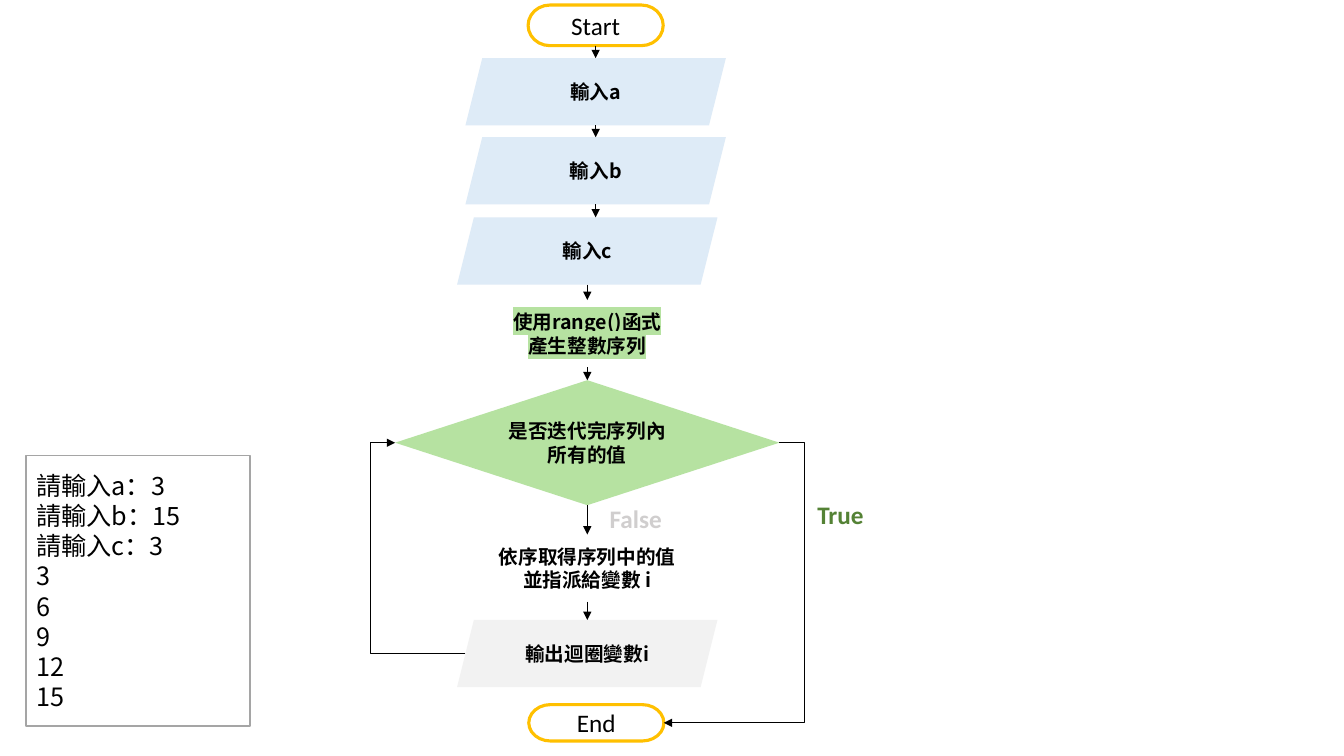
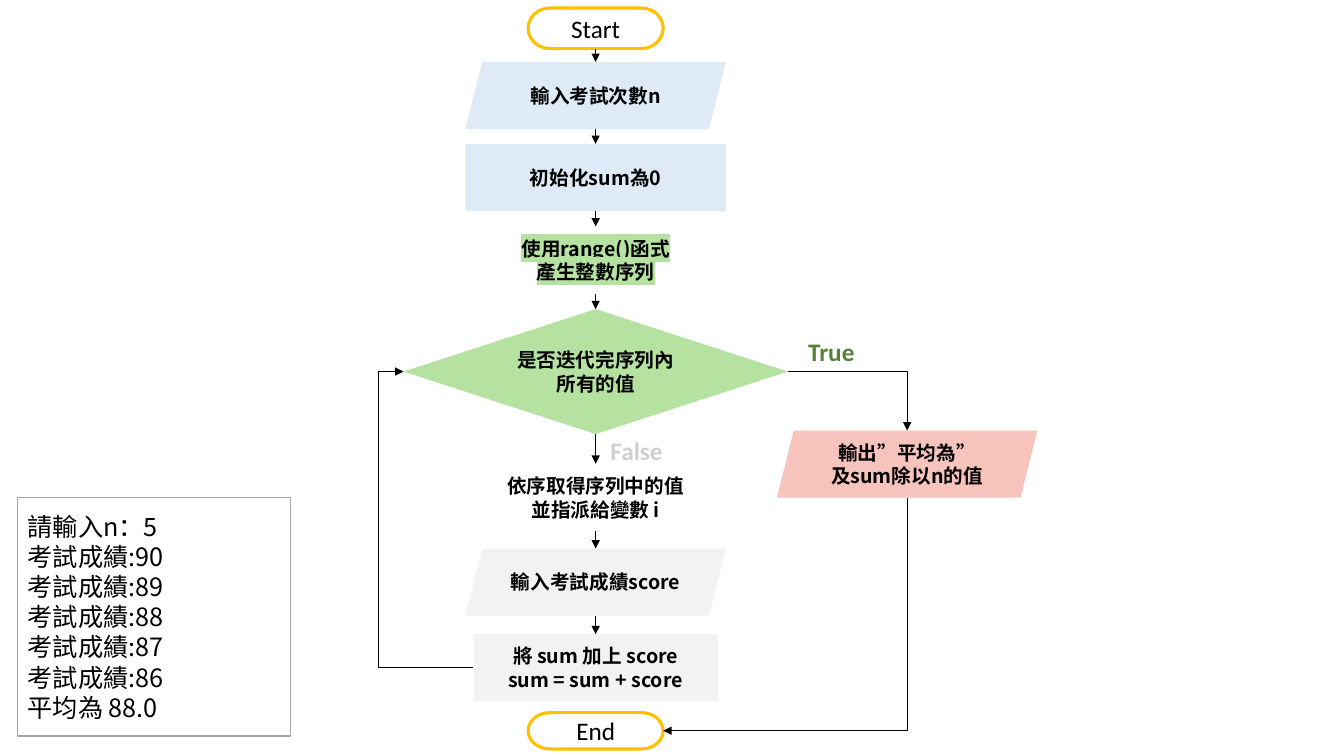
from dataclasses import dataclass
from itertools import pairwise
from typing import NamedTuple

from lxml.etree import SubElement
from pptx import Presentation
from pptx.dml.color import RGBColor
from pptx.enum.shapes import MSO_CONNECTOR as Wire, MSO_SHAPE as Preset
from pptx.enum.text import MSO_ANCHOR as Anchor, MSO_AUTO_SIZE as AutoSize, PP_ALIGN as Align
from pptx.oxml.ns import qn
from pptx.util import Pt


@dataclass(frozen=True)
class Theme:
    cjk: str = "Noto Sans CJK SC"
    latin: str = "Calibri"
    step_size: float = 14
    large_size: float = 18
    leading: float = 1.2
    black: str = "000000"
    white: str = "FFFFFF"
    frame: str = "A5A5A5"
    gold: str = "FFC000"
    blue: str = "DEEBF7"
    green: str = "B6E2A1"
    gray: str = "F2F2F2"
    pink: str = "F6C4BC"
    true: str = "548235"
    false: str = "D0CECE"


THEME = Theme()


class Span(NamedTuple):
    text: str
    font: str | None = None


class Style(NamedTuple):
    size: float
    font: str
    color: str = THEME.black
    bold: bool = False
    align: Align = Align.CENTER
    highlight: str | None = None


STEP = Style(THEME.step_size, THEME.cjk, bold=True)
MARKED = STEP._replace(highlight=THEME.green)
TERMINAL = Style(THEME.large_size, THEME.latin)
CONSOLE = Style(THEME.large_size, THEME.cjk, align=Align.LEFT)


@dataclass(frozen=True)
class Node:
    """One flowchart box, placed by its vertical axis; no preset means a text box."""
    lines: tuple[str | tuple[Span, ...], ...]
    axis: float
    top: float
    width: float = 186
    height: float = 48
    preset: Preset | None = None
    fill: str = THEME.white
    outline: str | None = None
    outline_width: float = 1
    style: Style = STEP

    @property
    def bottom(self) -> float:
        return self.top + self.height

    @property
    def middle(self) -> float:
        return self.top + self.height / 2

    @property
    def left(self) -> float:
        """Where a wire meets the left side; a slanted side is met halfway."""
        slant = self.height / 8 if self.preset == Preset.PARALLELOGRAM else 0
        return self.axis - self.width / 2 + slant

    @property
    def right(self) -> float:
        return self.axis + self.width / 2


class Label(NamedTuple):
    text: str
    left: float
    top: float
    width: float
    color: str


def true_label(left: float, top: float) -> Label:
    return Label("True", left, top, 47.5, THEME.true)


def false_label(left: float, top: float) -> Label:
    return Label("False", left, top, 52, THEME.false)


def terminal(text: str, axis: float, top: float, height: float) -> Node:
    return Node((text,), axis, top, 96.5, height, Preset.FLOWCHART_TERMINATOR,
                outline=THEME.gold, outline_width=2.25, style=TERMINAL)


def data_step(text: str, axis: float, top: float, fill: str = THEME.blue) -> Node:
    return Node((text,), axis, top, preset=Preset.PARALLELOGRAM, fill=fill)


def range_step(axis: float, top: float) -> Node:
    return Node(("使用range()函式", "產生整數序列"), axis, top, 173.5, style=MARKED)


def decision(axis: float, top: float) -> Node:
    return Node(("是否迭代完序列內所有的值",), axis, top, 274.5, 89.3, Preset.DIAMOND, THEME.green)


def take_step(axis: float, top: float) -> Node:
    return Node(("依序取得序列中的值", "並指派給變數 i"), axis, top)


def console(lines: tuple[str, ...], left: float, top: float, width: float, height: float) -> Node:
    return Node(lines, left + width / 2, top, width, height, Preset.RECTANGLE,
                outline=THEME.frame, style=CONSOLE)


def write_lines(frame, lines, style: Style) -> None:
    for index, line in enumerate(lines):
        para = frame.paragraphs[0] if index == 0 else frame.add_paragraph()
        para.alignment = style.align
        font = para.font
        font.name, font.size, font.bold = style.font, Pt(style.size), style.bold
        font.color.rgb = RGBColor.from_string(style.color)
        if style.font == THEME.cjk:
            para.line_spacing = Pt(style.size * THEME.leading)
            defaults = para._p.pPr.find(qn("a:defRPr"))
            SubElement(defaults, qn("a:ea"), typeface=THEME.cjk)
        for span in (Span(line),) if isinstance(line, str) else line:
            run = para.add_run()
            run.text = span.text
            if span.font:
                run.font.name = span.font
            if style.highlight:
                mark = SubElement(run._r.get_or_add_rPr(), qn("a:highlight"))
                SubElement(mark, qn("a:srgbClr"), val=style.highlight)


def draw_node(page, node: Node):
    place = [Pt(value) for value in
             (node.axis - node.width / 2, node.top, node.width, node.height)]
    if node.preset is None:
        box = page.shapes.add_textbox(*place)
    else:
        box = page.shapes.add_shape(node.preset, *place)
        box.shadow.inherit = False
        box.fill.solid()
        box.fill.fore_color.rgb = RGBColor.from_string(node.fill)
        if node.outline:
            box.line.color.rgb = RGBColor.from_string(node.outline)
            box.line.width = Pt(node.outline_width)
        else:
            box.line.fill.background()
    frame = box.text_frame
    frame.word_wrap = True
    frame.vertical_anchor = Anchor.MIDDLE
    write_lines(frame, node.lines, node.style)
    return box


def draw_label(page, label: Label) -> None:
    box = page.shapes.add_textbox(Pt(label.left), Pt(label.top), Pt(label.width), Pt(29))
    box.text_frame.word_wrap = False
    box.text_frame.auto_size = AutoSize.SHAPE_TO_FIT_TEXT
    style = Style(THEME.large_size, THEME.latin, label.color, True, Align.LEFT)
    write_lines(box.text_frame, (label.text,), style)


def draw_wire(page, kind: Wire, start: tuple[float, float], end: tuple[float, float],
              arrow: str = "tailEnd"):
    wire = page.shapes.add_connector(kind, *(Pt(value) for value in (*start, *end)))
    wire.line.color.rgb = RGBColor.from_string(THEME.black)
    wire.line.width = Pt(0.5)
    properties = wire._element.spPr
    SubElement(properties.find(qn("a:ln")), qn(f"a:{arrow}"), type="triangle")
    SubElement(properties, qn("a:effectLst"))
    return wire


def draw_lane(page, start: tuple[float, float], end: tuple[float, float], lane: float) -> None:
    """Elbow whose vertical stretch runs at x = lane."""
    wire = draw_wire(page, Wire.ELBOW, start, end)
    geometry = wire._element.spPr.find(qn("a:prstGeom"))
    share = round((lane - start[0]) / (end[0] - start[0]) * 100000)
    SubElement(geometry.find(qn("a:avLst")), qn("a:gd"), name="adj1", fmla=f"val {share}")


def draw_corner(page, start: tuple[float, float], end: tuple[float, float], arrow: str) -> None:
    """Elbow with a single bend, horizontal first."""
    wire = draw_wire(page, Wire.ELBOW, start, end, arrow)
    wire._element.spPr.find(qn("a:prstGeom")).set("prst", "bentConnector2")


def draw_flow(page, nodes: list[Node]) -> None:
    """Boxes in order, each joined to the next by a vertical arrow."""
    boxes = [draw_node(page, node) for node in nodes]
    for (upper, upper_box), (lower, lower_box) in pairwise(zip(nodes, boxes)):
        wire = draw_wire(page, Wire.STRAIGHT, (upper.axis, upper.bottom), (upper.axis, lower.top))
        if upper.preset != Preset.PARALLELOGRAM:
            wire.begin_connect(upper_box, 2)
        if lower.preset != Preset.PARALLELOGRAM and lower.axis == upper.axis:
            wire.end_connect(lower_box, 0)


def draw_loop(page, last: Node, test: Node) -> None:
    draw_lane(page, (last.left, last.middle), (test.left, test.middle), test.left - 18)


def build_sequence(page) -> None:
    axis, loop_axis = 425.5, 419.5
    test = decision(loop_axis, 271.6)
    output = data_step("輸出迴圈變數i", loop_axis, 442.8, THEME.gray)
    end = terminal("End", 426, 503.3, 26)
    draw_node(page, console(("請輸入a：3", "請輸入b：15", "請輸入c：3", "3", "6", "9", "12", "15"),
                            18.7, 325.5, 160, 193))
    draw_flow(page, [
        terminal("Start", axis, 3.6, 29),
        data_step("輸入a", axis, 41.5),
        data_step("輸入b", axis, 98),
        data_step("輸入c", loop_axis, 155.3),
        range_step(loop_axis, 214.3),
        test,
        take_step(loop_axis, 381.8),
        output,
    ])
    draw_node(page, end)
    draw_loop(page, output, test)
    draw_lane(page, (test.right, test.middle), (end.right, end.middle), test.right + 18)
    draw_label(page, true_label(576.7, 352.8))
    draw_label(page, false_label(428.4, 355.7))


def build_average(page) -> None:
    axis = 425.5
    test = decision(axis, 220.8)
    add_score = Node(("將 sum 加上 score", "sum = sum + score"), axis, 453, 174.5,
                     preset=Preset.RECTANGLE, fill=THEME.gray)
    average = Node(((Span("輸出"), Span("”平均為”", THEME.latin)), "及sum除以n的值"), 648, 307.5,
                   preset=Preset.PARALLELOGRAM, fill=THEME.pink)
    end = terminal("End", axis, 509, 26)
    draw_flow(page, [
        terminal("Start", axis, 5.7, 29),
        data_step("輸入考試次數n", axis, 44.2),
        Node(("初始化sum為0",), axis, 102.8, preset=Preset.RECTANGLE, fill=THEME.blue),
        range_step(axis, 161.8),
        test,
        take_step(axis, 331.3),
        data_step("輸入考試成績score", axis, 391.8, THEME.gray),
        add_score,
    ])
    draw_node(page, average)
    draw_node(page, end)
    draw_loop(page, add_score, test)
    draw_corner(page, (test.right, test.middle), (average.axis, average.top), "tailEnd")
    draw_corner(page, (end.right, end.middle), (average.axis, average.bottom), "headEnd")
    draw_label(page, true_label(570.2, 236.9))
    draw_label(page, false_label(429, 307.4))
    scores = tuple(f"考試成績:{score}" for score in range(90, 85, -1))
    draw_node(page, console(("請輸入n：5", *scores, "平均為 88.0"), 12.7, 355.2, 194.7, 170.5))


def main() -> None:
    deck = Presentation()
    deck.slide_width, deck.slide_height = Pt(960), Pt(540)
    blank = deck.slide_layouts[6]
    for build in (build_sequence, build_average):
        build(deck.slides.add_slide(blank))
    deck.save("out.pptx")


if __name__ == "__main__":
    main()
